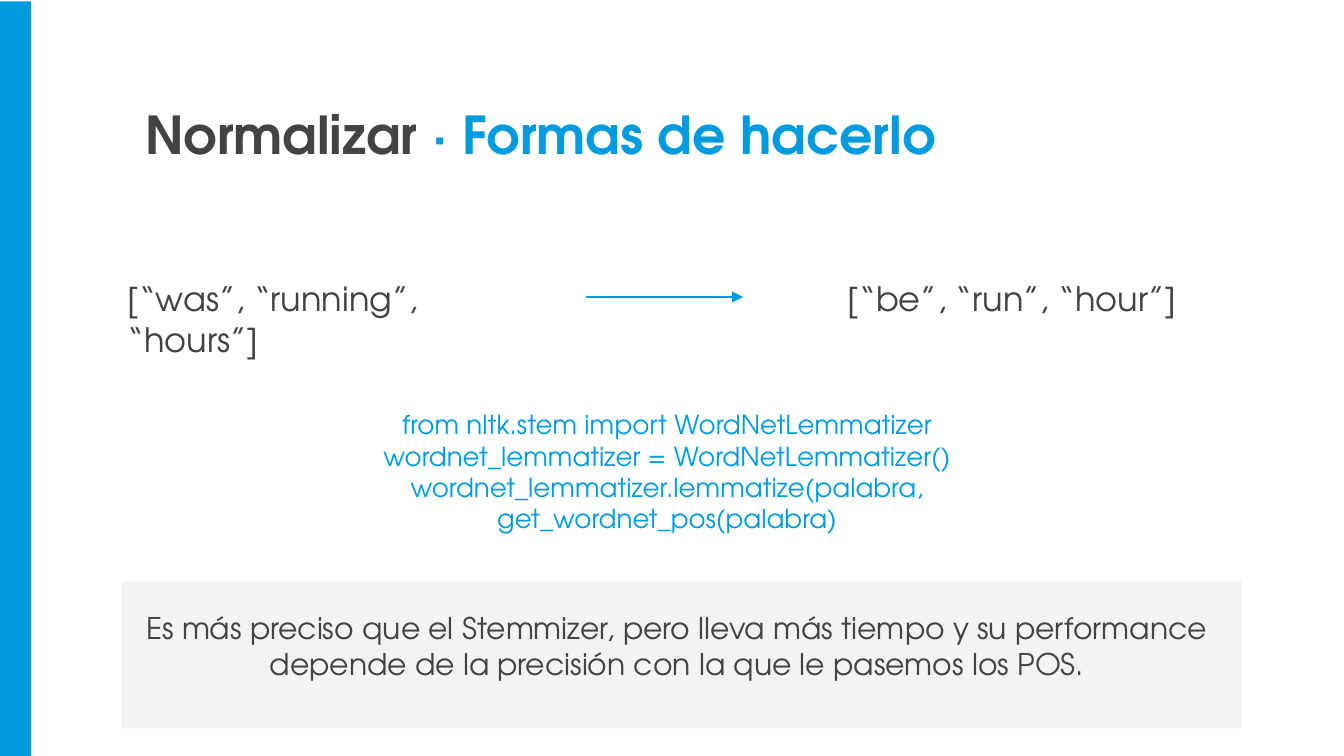
from lxml.etree import SubElement
from pptx import Presentation
from pptx.dml.color import RGBColor
from pptx.enum.shapes import MSO_CONNECTOR, MSO_SHAPE
from pptx.enum.text import MSO_ANCHOR, MSO_AUTO_SIZE, PP_ALIGN
from pptx.oxml.ns import qn
from pptx.util import Inches, Pt

BLUE, GREY, PALE = "009BDE", "434343", "F3F3F3"
FONT = "TeX Gyre Adventor"
LEFT, CENTER = PP_ALIGN.LEFT, PP_ALIGN.CENTER
TOP, MIDDLE = MSO_ANCHOR.TOP, MSO_ANCHOR.MIDDLE
PAGE_WIDTH = Inches(10)
PAGE_HEIGHT = PAGE_WIDTH * 9 // 16

TITLE = [[("Normalizar ", GREY), ("· Formas de hacerlo", BLUE)]]
TITLE_AREA = (0.98, 0.66, 8.02, 0.64)
BANDS = [
    ((0, 0.01, 0.23, 5.62), BLUE),
    ((0.91, 4.33, 8.33, 1.09), PALE),
]
CODE = [
    "from nltk.stem import WordNetLemmatizer",
    "wordnet_lemmatizer = WordNetLemmatizer()",
    "wordnet_lemmatizer.lemmatize(palabra, get_wordnet_pos(palabra)",
]
REMARK = ["Es más preciso que el Stemmizer, pero lleva más tiempo y su performance "
          "depende de la precisión con la que le pasemos los POS."]
TEXTS = [
    (REMARK, (0.84, 4.33, 8.4, 0.95), 16, GREY, CENTER, MIDDLE),
    (CODE, (1.96, 2.94, 6.01, 0.41), 14, BLUE, CENTER, TOP),
    (["[“was”, “running”, “hours”]"], (0.85, 1.97, 3.19, 0.72), 18, GREY, LEFT, TOP),
    (["[“be”, “run”, “hour”]"], (5.98, 1.97, 3.1, 0.72), 18, GREY, CENTER, TOP),
]
ARROW = (4.36, 2.21, 5.53, 2.21)


def color(hex_text):
    """Turn a hex string into a colour."""
    return RGBColor.from_string(hex_text)


def lengths(values):
    """Turn numbers into inches."""
    return [Inches(value) for value in values]


def apply(target, formats):
    """Set each named attribute of the target."""
    for name, value in formats.items():
        setattr(target, name, value)


def write(box, paragraphs, size, align, anchor, bold=False):
    """Fill a box with paragraphs of coloured spans."""
    margin = Inches(0.1)
    frame = box.text_frame
    apply(frame, {
        "word_wrap": True, "auto_size": MSO_AUTO_SIZE.NONE, "vertical_anchor": anchor,
        "margin_left": margin, "margin_top": margin,
        "margin_right": margin, "margin_bottom": margin,
    })
    for index, spans in enumerate(paragraphs):
        para = frame.add_paragraph() if index else frame.paragraphs[0]
        para.alignment = align
        for text, hex_text in spans:
            span = para.add_run()
            span.text = text
            apply(span.font, {"name": FONT, "size": Pt(size), "bold": bold})
            span.font.color.rgb = color(hex_text)


def add_band(page, area, hex_text):
    """Add a plain filled rectangle."""
    band = page.shapes.add_shape(MSO_SHAPE.RECTANGLE, *lengths(area))
    band.shadow.inherit = False
    band.fill.solid()
    band.fill.fore_color.rgb = color(hex_text)
    band.line.fill.background()


def add_arrow(page, ends):
    """Add a thin line with a triangle at its end."""
    arrow = page.shapes.add_connector(MSO_CONNECTOR.STRAIGHT, *lengths(ends))
    arrow.line.width = Pt(0.75)
    arrow.line.color.rgb = color(BLUE)
    line = arrow._element.spPr.find(qn("a:ln"))
    SubElement(line, qn("a:tailEnd"), type="triangle")
    SubElement(arrow._element.spPr, qn("a:effectLst"))


def main():
    """Build the slide and save the deck."""
    deck = Presentation()
    apply(deck, {"slide_width": PAGE_WIDTH, "slide_height": PAGE_HEIGHT})
    page = deck.slides.add_slide(deck.slide_layouts.get_by_name("Title Only"))
    for area, hex_text in BANDS:
        add_band(page, area, hex_text)
    title = page.shapes.title
    apply(title, dict(zip(("left", "top", "width", "height"), lengths(TITLE_AREA))))
    write(title, TITLE, 28, LEFT, TOP, bold=True)
    for lines, area, size, hex_text, align, anchor in TEXTS:
        box = page.shapes.add_textbox(*lengths(area))
        write(box, [[(line, hex_text)] for line in lines], size, align, anchor)
    add_arrow(page, ARROW)
    deck.save("out.pptx")


if __name__ == "__main__":
    main()
